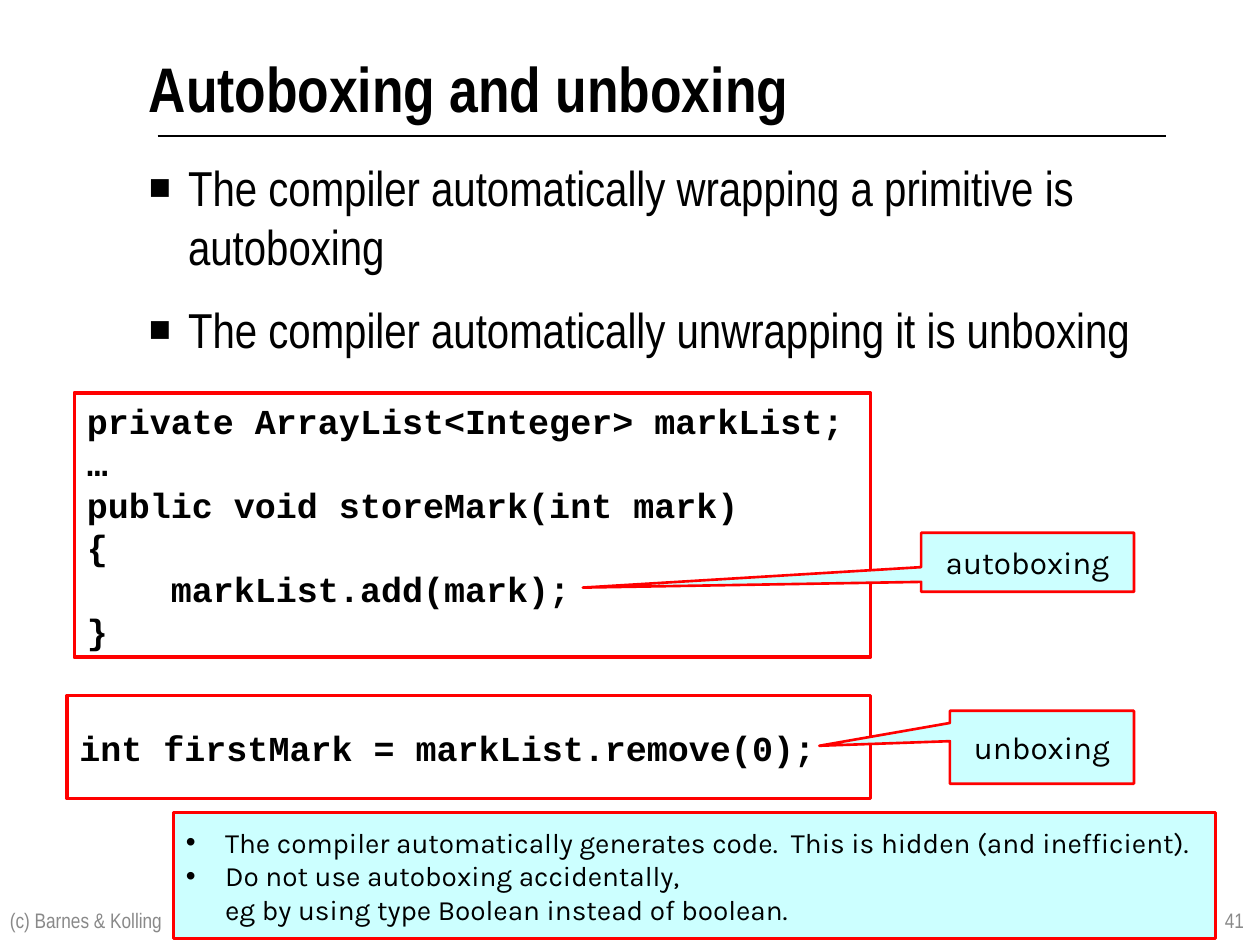
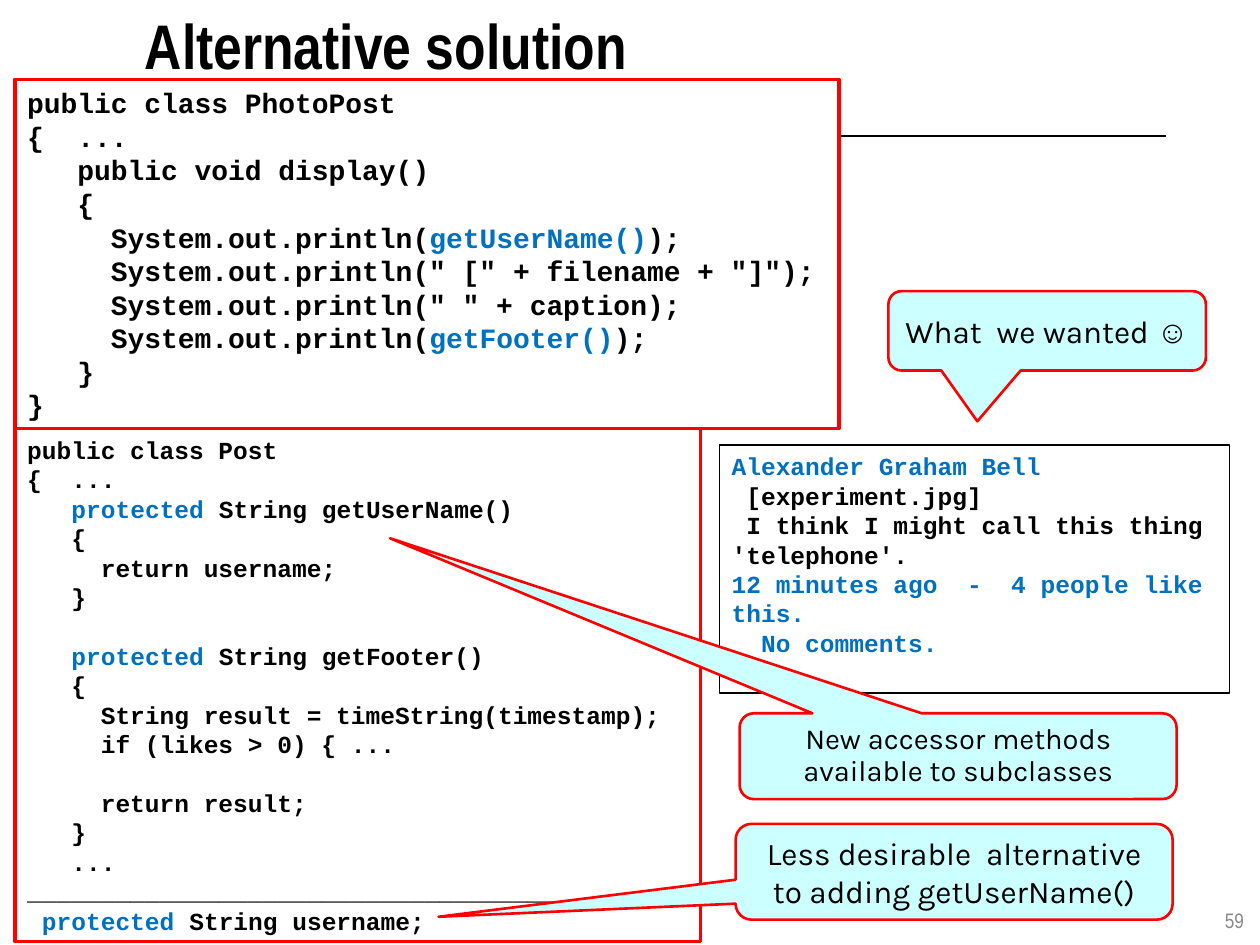
from lxml import etree
from pptx import Presentation
from pptx.dml.color import RGBColor
from pptx.enum.shapes import MSO_CONNECTOR, MSO_SHAPE
from pptx.enum.text import MSO_ANCHOR, MSO_AUTO_SIZE, PP_ALIGN
from pptx.oxml.ns import qn
from pptx.util import Cm, Pt

BLACK = RGBColor(0x00, 0x00, 0x00)
WHITE = RGBColor(0xFF, 0xFF, 0xFF)
RED = RGBColor(0xFF, 0x00, 0x00)
BLUE = RGBColor(0x00, 0x70, 0xC0)
CYAN = RGBColor(0xCC, 0xFF, 0xFF)
GREY = RGBColor(0x89, 0x89, 0x89)

HEADING_FONT = "Arial Narrow"
CODE_FONT = "Courier New"
NOTE_FONT = "Karla"
SYMBOL_FONT = "Arial"

LEFT, CENTER, RIGHT = PP_ALIGN.LEFT, PP_ALIGN.CENTER, PP_ALIGN.RIGHT
TOP, MIDDLE = MSO_ANCHOR.TOP, MSO_ANCHOR.MIDDLE
NO_FIT = MSO_AUTO_SIZE.NONE
STRAIGHT = MSO_CONNECTOR.STRAIGHT
RECTANGLE = MSO_SHAPE.RECTANGLE
SQUARE_CALLOUT = MSO_SHAPE.RECTANGULAR_CALLOUT
ROUND_CALLOUT = MSO_SHAPE.ROUNDED_RECTANGULAR_CALLOUT

LINE_HEIGHT = 1.2
MARK = "|"
TITLE_LAYOUT, LIST_LAYOUT = 5, 1

BOXING_CODE = """private ArrayList<Integer> markList;
…
public void storeMark(int mark)
{
    markList.add(mark);
}"""

PHOTO_POST_CODE = """public class PhotoPost
{  ...
   public void display()
   {
     System.out.println(|getUserName()|);
     System.out.println(" [" + filename + "]");
     System.out.println(" " + caption);
     System.out.println(|getFooter()|);
   }
}"""

POST_CODE = """public class Post
{  ...
   |protected| String getUserName()
   {
     return username;
   }

   |protected| String getFooter()
   {
     String result = timeString(timestamp);
     if (likes > 0) { ...

     return result;
   }
   ...
______________________________________
 |protected| String username;"""

POST_OUTPUT = """|Alexander Graham Bell|
 [experiment.jpg]
 I think I might call this thing 'telephone'.
|12 minutes ago  -  4 people like this.|
|  No comments.|"""


def set_frame(box, anchor=TOP, margins=(0.25, 0.13)):
    """Prepare the text frame of a box and return it."""
    frame = box.text_frame
    frame.word_wrap = True
    frame.auto_size = NO_FIT
    frame.vertical_anchor = anchor
    frame.margin_left = frame.margin_right = Cm(margins[0])
    frame.margin_top = frame.margin_bottom = Cm(margins[1])
    return frame


def set_font(font, name, size, color=BLACK, bold=False):
    """Format a font."""
    font.name = name
    font.size = Pt(size)
    font.color.rgb = color
    font.bold = bold


def write_text(frame, text, font=NOTE_FONT, size=18, color=BLACK, bold=False,
               align=LEFT, spacing=None, mark_font=None, mark_color=None):
    """Write lines, giving marked spans their own look and blank lines as space."""
    gap = 0
    para = None
    for line in text.split("\n"):
        if not line:
            gap = size * LINE_HEIGHT
            continue
        para = frame.add_paragraph() if para is not None else frame.paragraphs[0]
        para.alignment = align
        para.space_before = Pt(gap)
        if spacing:
            para.line_spacing = spacing
        gap = 0
        for index, piece in enumerate(line.split(MARK)):
            if piece:
                span = para.add_run()
                span.text = piece
                marked = index % 2 == 1
                set_font(span.font, marked and mark_font or font, size,
                         marked and mark_color or color, bold)


def write_bullets(frame, items, symbol, font, size, gap=0, symbol_size=100):
    """Write a list with hanging bullets."""
    for index, item in enumerate(items):
        para = frame.add_paragraph() if index else frame.paragraphs[0]
        para.text = item
        properties = para._p.get_or_add_pPr()
        properties.set("marL", str(Cm(0.79)))
        properties.set("indent", str(-Cm(0.79)))
        color = etree.SubElement(properties, qn("a:buClr"))
        etree.SubElement(color, qn("a:srgbClr"), val=str(BLACK))
        etree.SubElement(properties, qn("a:buSzPct"), val=str(symbol_size * 1000))
        etree.SubElement(properties, qn("a:buFont"), typeface=SYMBOL_FONT)
        etree.SubElement(properties, qn("a:buChar"), char=symbol)
        para.alignment = LEFT
        para.space_before = Pt(gap if index else 0)
        for span in para.runs:
            set_font(span.font, font, size)
        set_font(para.font, font, size)


def place(box, left, top, width, height):
    """Move and size a box, in centimetres."""
    box.left, box.top, box.width, box.height = map(Cm, (left, top, width, height))


def add_page(deck, layout, title, left, top, number):
    """Add a page with its title, rule and page number."""
    page = deck.slides.add_slide(deck.slide_layouts[layout])
    heading = page.shapes.title
    place(heading, left, top, 19.43, 1.9)
    write_text(set_frame(heading, margins=(0, 0)), title,
               font=HEADING_FONT, size=36, bold=True)
    rule = page.shapes.add_connector(STRAIGHT, Cm(3.18), Cm(2.74), Cm(23.5), Cm(2.74))
    rule.line.color.rgb = BLACK
    rule.line.width = Pt(0.75)
    etree.SubElement(rule._element.spPr, qn("a:effectLst"))
    add_footer(page, number, 19.41, 5.92, RIGHT)
    return page


def add_footer(page, text, left, width, align):
    """Add a grey text at the bottom of the page."""
    box = page.shapes.add_textbox(Cm(left), Cm(18.03), Cm(width), Cm(1.02))
    write_text(set_frame(box, MIDDLE), text, font=HEADING_FONT, size=12,
               color=GREY, align=align)


def add_panel(page, area, kind=RECTANGLE, fill=CYAN, line=RED, weight=1.5):
    """Add a filled and outlined shape."""
    panel = page.shapes.add_shape(kind, *map(Cm, area))
    panel.shadow.inherit = False
    if fill is None:
        panel.fill.background()
    else:
        panel.fill.solid()
        panel.fill.fore_color.rgb = fill
    panel.line.color.rgb = line
    panel.line.width = Pt(weight)
    return panel


def add_code(page, code, area, size, anchor=TOP, **look):
    """Add a panel of code with highlighted spans."""
    panel = add_panel(page, area, **{"fill": WHITE, "weight": 2, **look})
    write_text(set_frame(panel, anchor), code, font=CODE_FONT, size=size,
               bold=True, mark_color=BLUE)


def add_callout(page, text, area, pointer, kind=ROUND_CALLOUT, **style):
    """Add a callout whose pointer is given relative to its size."""
    callout = add_panel(page, area, kind)
    callout.adjustments[0], callout.adjustments[1] = pointer
    write_text(set_frame(callout, MIDDLE), text, align=CENTER,
               mark_font=SYMBOL_FONT, **style)


def build_boxing_page(deck):
    """Build the page on autoboxing and unboxing."""
    page = add_page(deck, LIST_LAYOUT, "Autoboxing and unboxing", 3, 0.99, "41")
    body = page.placeholders[1]
    place(body, 3, 3.18, 20.96, 13.34)
    write_bullets(set_frame(body, margins=(0, 0)), [
        "The compiler automatically wrapping a primitive is autoboxing",
        "The compiler automatically unwrapping it is unboxing",
    ], "■", HEADING_FONT, 28, gap=14, symbol_size=75)
    add_footer(page, "(c) Barnes & Kolling", -0.05, 12.57, LEFT)
    add_code(page, BOXING_CODE, (1.5, 7.92, 16.05, 5.33), 20)
    add_code(page, "int firstMark = markList.remove(0);",
             (1.35, 14.02, 16.2, 2.08), 20, MIDDLE)
    add_callout(page, "autoboxing", (18.57, 10.74, 4.29, 1.19),
                (-2.09, 0.43), SQUARE_CALLOUT)
    add_callout(page, "unboxing", (19.15, 14.33, 3.71, 1.47),
                (-1.21, -0.02), SQUARE_CALLOUT)
    warning = add_panel(page, (3.5, 16.38, 21.01, 2.54))
    write_bullets(set_frame(warning, MIDDLE), [
        "The compiler automatically generates code.  This is hidden (and inefficient).",
        "Do not use autoboxing accidentally,\veg by using type Boolean instead of boolean.",
    ], "•", NOTE_FONT, 16)


def build_solution_page(deck):
    """Build the page on the alternative solution."""
    page = add_page(deck, TITLE_LAYOUT, "Alternative solution", 2.92, 0.13, "59")
    add_code(page, POST_CODE, (0.3, 8.64, 13.82, 10.34), 14)
    add_code(page, POST_OUTPUT, (14.5, 8.97, 10.29, 5), 14,
             fill=None, line=BLACK, weight=0.75)
    add_callout(page, "What  we wanted |☺|", (17.91, 5.87, 6.4, 1.6), (-0.22, 1.14))
    add_code(page, PHOTO_POST_CODE, (0.3, 1.6, 16.61, 7.04), 16)
    add_callout(page, "New accessor methods available to subclasses",
                (14.91, 14.38, 8.81, 1.73), (-1.3, -2.54), size=16.6, spacing=0.9)
    add_callout(page, "Less desirable  alternative to adding getUserName()",
                (14.83, 16.61, 8.81, 1.93), (-1.18, 0.47))


def main():
    """Build the deck and save it."""
    deck = Presentation()
    deck.slide_width = Cm(25.4)
    deck.slide_height = Cm(19.05)
    build_boxing_page(deck)
    build_solution_page(deck)
    deck.save("out.pptx")


if __name__ == "__main__":
    main()
